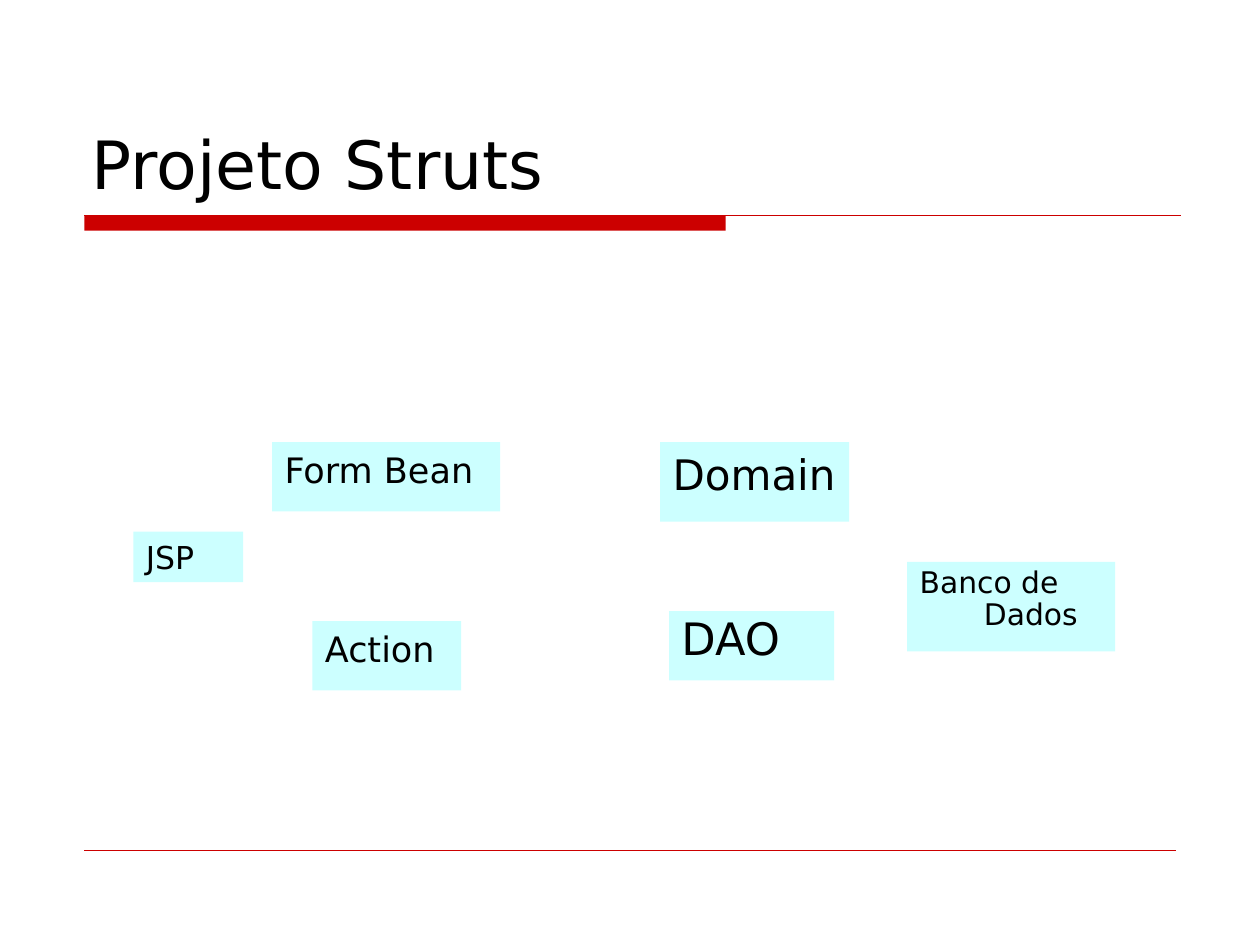
from dataclasses import dataclass

from lxml import etree
from pptx import Presentation
from pptx import util as u
from pptx.dml.color import RGBColor
from pptx.enum import shapes, text
from pptx.oxml.ns import qn


@dataclass(frozen=True)
class Theme:
    font: str = "DejaVu Sans"
    ink: RGBColor = RGBColor(0x00, 0x00, 0x00)
    accent: RGBColor = RGBColor(0xCC, 0x00, 0x00)
    box: RGBColor = RGBColor(0xCC, 0xFF, 0xFF)
    title: float = 38
    heading: float = 25.5
    large: float = 24
    medium: float = 20
    small: float = 18
    compact: float = 17


THEME = Theme()
CELL = u.Inches(0.1)
LEFT = 6.7
RULE_ROW = 17.1
HANGING = 5.1

COMPONENTS = [
    ("JSP", (10.6, 42.2, 8.7, 4), THEME.small, 0, 1),
    ("Action", (24.8, 49.3, 11.8, 5.5), THEME.medium, HANGING, 1),
    ("Banco de Dados", (72, 44.6, 16.5, 7.1), THEME.compact, HANGING, 0.9),
    ("DAO", (53.1, 48.5, 13.1, 5.5), THEME.heading, HANGING, 0.9),
    ("Form Bean", (21.6, 35.1, 18.1, 5.5), THEME.medium, HANGING, 1),
    ("Domain", (52.4, 35.1, 15, 6.3), THEME.large, HANGING, 1),
]


def grid(*cells):
    return [round(cell * CELL) for cell in cells]


def style_paragraph(paragraph, size):
    paragraph.alignment = text.PP_ALIGN.LEFT
    paragraph.font.name = THEME.font
    paragraph.font.size = u.Pt(size)
    paragraph.font.color.rgb = THEME.ink


def add_rectangle(slide, area, color):
    shape = slide.shapes.add_shape(shapes.MSO_SHAPE.RECTANGLE, *grid(*area))
    shape.shadow.inherit = False
    shape.fill.solid()
    shape.fill.fore_color.rgb = color
    shape.line.fill.background()
    return shape


def add_rule(slide, row, end, width):
    rule = slide.shapes.add_connector(
        shapes.MSO_CONNECTOR.STRAIGHT, *grid(LEFT, row, end, row)
    )
    rule.line.color.rgb = THEME.accent
    rule.line.width = u.Pt(width)
    etree.SubElement(rule._element.spPr, qn("a:effectLst"))


def add_title(slide, words):
    title = slide.shapes.title
    title.left, title.top, title.width, title.height = grid(6.3, 3.3, 87.5, 13.3)
    frame = title.text_frame
    frame.text = words
    frame.auto_size = text.MSO_AUTO_SIZE.NONE
    frame.vertical_anchor = text.MSO_ANCHOR.BOTTOM
    style_paragraph(frame.paragraphs[0], THEME.title)


def add_component(slide, words, area, size, hanging, spacing):
    frame = add_rectangle(slide, area, THEME.box).text_frame
    frame.word_wrap = True
    frame.vertical_anchor = text.MSO_ANCHOR.TOP
    frame.text = words
    paragraph = frame.paragraphs[0]
    paragraph.line_spacing = spacing
    properties = paragraph._p.get_or_add_pPr()
    indent, = grid(hanging)
    properties.set("marL", str(indent))
    properties.set("indent", str(-indent))
    style_paragraph(paragraph, size)


def main():
    presentation = Presentation()
    presentation.slide_width, presentation.slide_height = grid(100, 75)
    slide = presentation.slides.add_slide(presentation.slide_layouts[5])
    add_rectangle(slide, (LEFT, RULE_ROW, 50.9, 1.2), THEME.accent)
    add_rule(slide, RULE_ROW, 93.7, 0.75)
    add_rule(slide, 67.5, 93.3, 0.25)
    add_title(slide, "Projeto Struts")
    for component in COMPONENTS:
        add_component(slide, *component)
    presentation.save("out.pptx")


if __name__ == "__main__":
    main()
